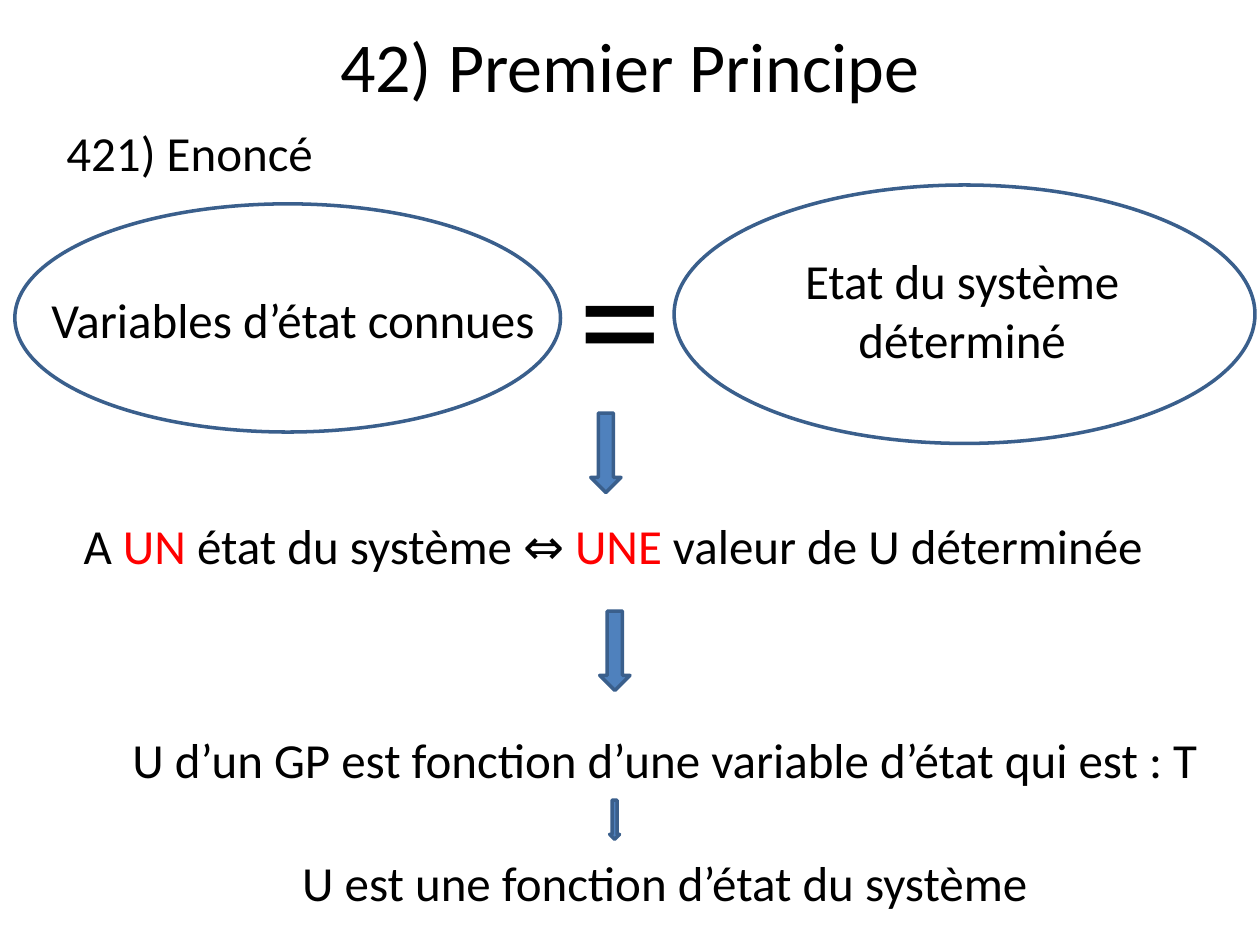
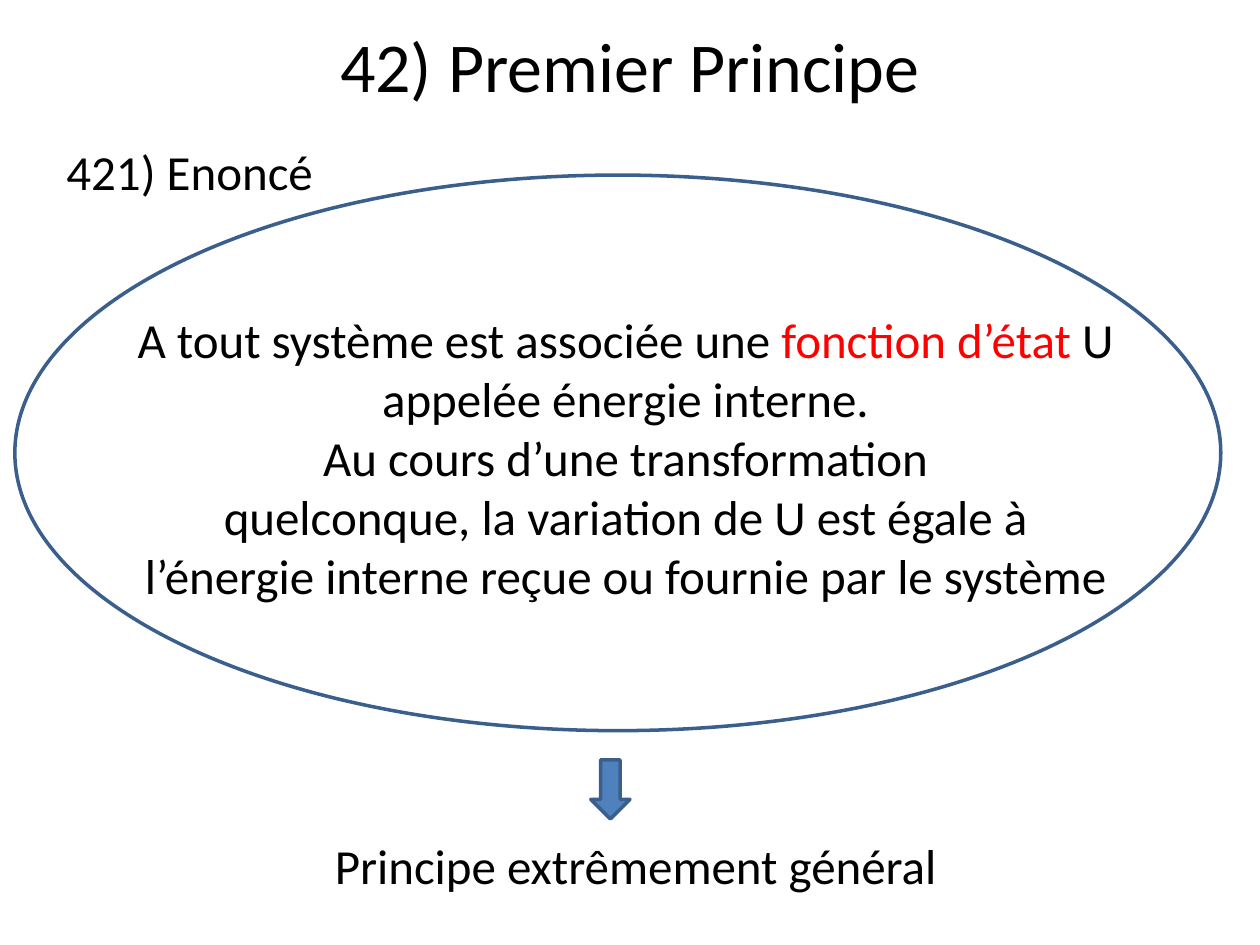
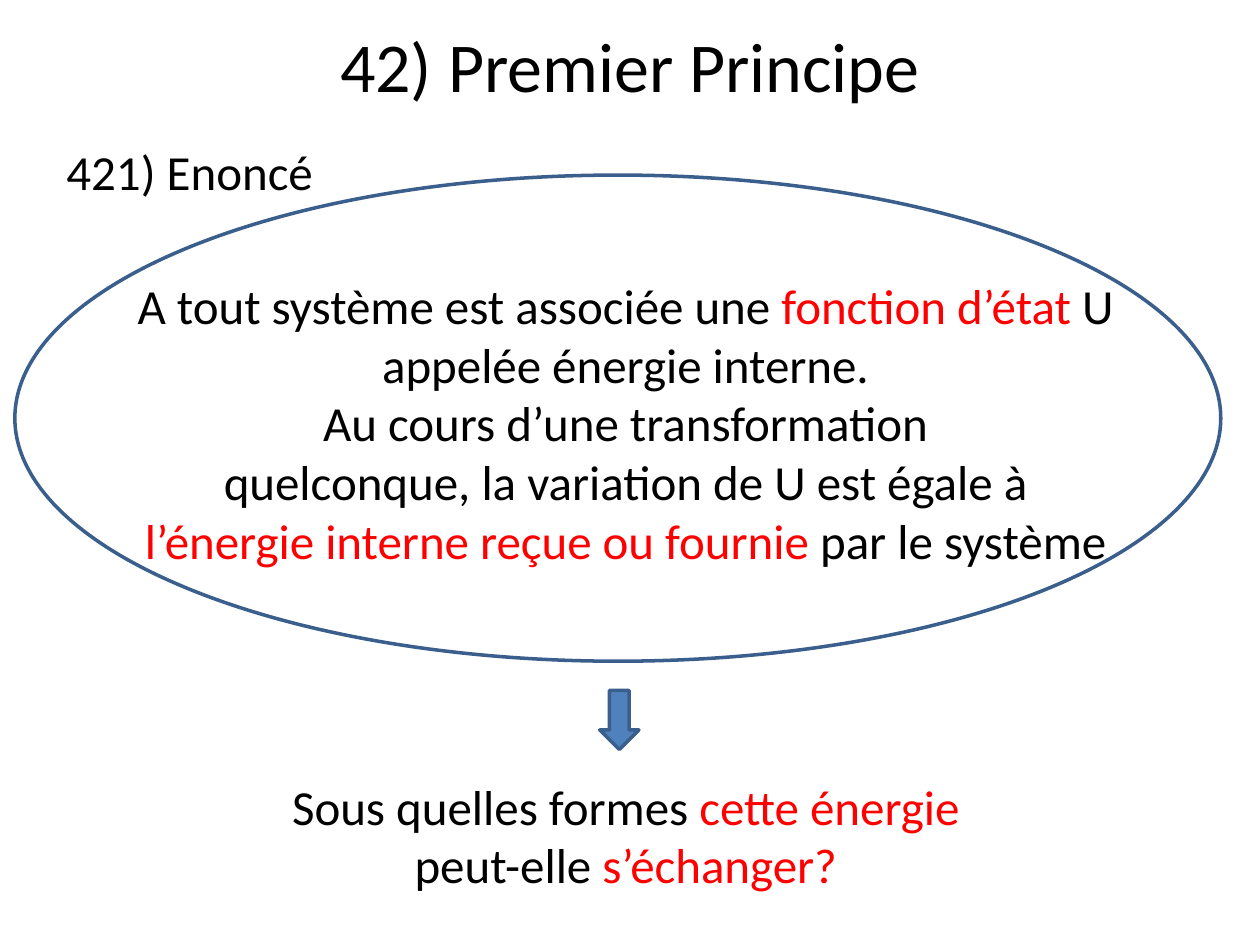
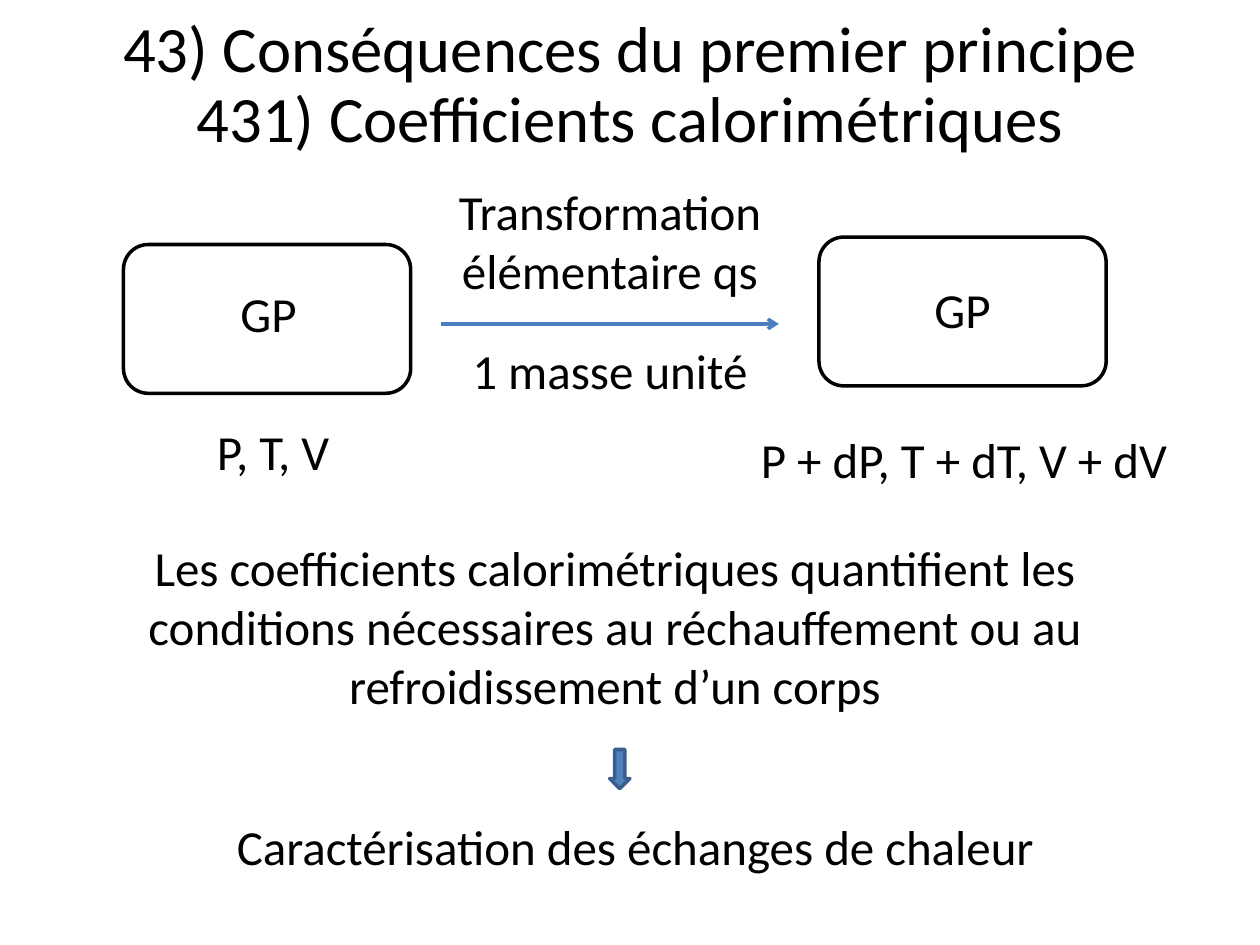
"""Build four slides on the first principle of thermodynamics."""
from lxml import etree
from pptx import Presentation
from pptx.dml.color import RGBColor
from pptx.enum.shapes import MSO_CONNECTOR, MSO_SHAPE
from pptx.enum.text import MSO_ANCHOR, MSO_AUTO_SIZE, PP_ALIGN
from pptx.oxml.ns import qn
from pptx.util import Cm, Pt

OVAL, ROUND, DOWN = MSO_SHAPE.OVAL, MSO_SHAPE.ROUNDED_RECTANGLE, MSO_SHAPE.DOWN_ARROW
LINE = MSO_CONNECTOR.STRAIGHT
TOP, MIDDLE = MSO_ANCHOR.TOP, MSO_ANCHOR.MIDDLE
LEFT, CENTER = PP_ALIGN.LEFT, PP_ALIGN.CENTER
GROW, FIXED = MSO_AUTO_SIZE.SHAPE_TO_FIT_TEXT, MSO_AUTO_SIZE.NONE
FONT, BLACK, RED = "Calibri", "000000", "FF0000"
BLUE, EDGE, WIRE = "4F81BD", "3A5F8C", "4B7EBC"

HEAD = "42) Premier Principe"
PART = "421) Enoncé"
LAW = """A tout système est associée une *fonction d’état* U
appelée énergie interne.
Au cours d’une transformation
quelconque, la variation de U est égale à
"""

# Asterisks enclose red words; lengths are in centimetres.
STATE = {
    "ovals": [(0.3, 4.11, 11, 4.6), (13.59, 3.73, 11.71, 5.21)],
    "downs": [(11.91, 8.33, 0.61, 1.6), (12.09, 12.32, 0.61, 1.6), (12.29, 16.13, 0.2, 0.79)],
    "texts": [
        ("Variables d’état connues", 0.71, 5.72, 10.39, {}),
        ("=", 10.9, 4.11, 3.2, {"size": 96}),
        ("Etat du système déterminé", 14.2, 4.93, 10.39, {"rows": 2}),
        ("A *UN* état du système ⇔ *UNE* valeur de U déterminée", 0.41, 10.26, 23.9, {}),
        ("U d’un GP est fonction d’une variable d’état qui est : T", 1.4, 14.58, 24, {}),
        ("U est une fonction d’état du système", 1.4, 17.07, 24, {}),
    ],
}
LAWS = [
    {
        "end": "l’énergie interne reçue ou fournie par le système",
        "tall": 11.2,
        "down": (11.91, 15.32, 0.79, 1.19),
        "note": ("Principe extrêmement général", 5.31, 16.71, 15.01, {}),
    },
    {
        "end": "*l’énergie interne reçue ou fournie* par le système",
        "tall": 9.8,
        "down": (12.09, 13.92, 0.79, 1.19),
        "note": ("Sous quelles formes *cette énergie* peut-elle *s’échanger?*",
                 5.11, 15.52, 15.01, {"rows": 2}),
    },
]
HEAT = {
    "head": "43) Conséquences du premier principe\n431) Coefficients calorimétriques",
    "boxes": [(2.49, 4.93, 5.79, 3), (16.51, 4.78, 5.79, 3)],
    "wire": (8.89, 15.7, 6.53),
    "downs": [(12.29, 15.11, 0.41, 0.79)],
    "texts": [
        ("GP", 3.51, 5.59, 3.81, {}),
        ("GP", 17.5, 5.51, 3.81, {}),
        ("P, T, V", 3.51, 8.38, 3.99, {}),
        ("P + dP, T + dT, V + dV", 15.09, 8.53, 9.19, {"align": LEFT}),
        ("Transformation élémentaire qs", 8.89, 3.53, 6.81, {"rows": 2}),
        ("1 masse unité", 8.89, 6.73, 6.81, {}),
        ("Les coefficients calorimétriques quantifient les conditions nécessaires "
         "au réchauffement ou au refroidissement d’un corps", 2.49, 10.72, 19.81, {"rows": 3}),
        ("Caractérisation des échanges de chaleur", 2.9, 16.33, 19.81, {}),
    ],
}


def paint(code):
    return RGBColor.from_string(code)


def write(slide, text, x, y, w, rows=1, size=28, tall=None, align=CENTER,
          anchor=TOP, space=None, fit=GROW):
    high = tall or rows * size * 0.0424 + 0.25
    frame = slide.shapes.add_textbox(Cm(x), Cm(y), Cm(w), Cm(high)).text_frame
    frame.word_wrap, frame.auto_size, frame.vertical_anchor = True, fit, anchor
    for i, row in enumerate(text.split("\n")):
        para = frame.add_paragraph() if i else frame.paragraphs[0]
        para.alignment = align
        if space:
            para.line_spacing = space
        for j, words in enumerate(row.split("*")):
            if words:
                run = para.add_run()
                run.text = words
                run.font.name, run.font.size = FONT, Pt(size)
                run.font.color.rgb = paint(RED if j % 2 else BLACK)


def draw(slide, kind, place, fill=None, edge=EDGE):
    shape = slide.shapes.add_shape(kind, *map(Cm, place))
    shape.shadow.inherit = False
    if fill:
        shape.fill.solid()
        shape.fill.fore_color.rgb = paint(fill)
    else:
        shape.fill.background()
    shape.line.color.rgb, shape.line.width = paint(edge), Pt(2)


def join(slide, start, end, y):
    wire = slide.shapes.add_connector(LINE, Cm(start), Cm(y), Cm(end), Cm(y))
    wire.line.color.rgb, wire.line.width = paint(WIRE), Pt(2)
    props = wire.element.spPr
    etree.SubElement(props.find(qn("a:ln")), qn("a:tailEnd"), type="arrow")
    etree.SubElement(props, qn("a:effectLst"))


def start(deck, head=HEAD, y=-0.28, **style):
    slide = deck.slides.add_slide(deck.slide_layouts[6])
    look = {"size": 40, "tall": 3.18, "anchor": MIDDLE, "fit": FIXED, **style}
    write(slide, head, 1.27, y, 22.86, **look)
    return slide


def fill(slide, data):
    for place in data["downs"]:
        draw(slide, DOWN, place, BLUE)
    for text, x, y, w, style in data["texts"]:
        write(slide, text, x, y, w, **style)


def main():
    deck = Presentation()
    deck.slide_width, deck.slide_height = Cm(25.4), Cm(19.05)

    slide = start(deck)
    write(slide, PART, 1.09, 2.34, 8.79, align=LEFT)
    for place in STATE["ovals"]:
        draw(slide, OVAL, place)
    fill(slide, STATE)

    for law in LAWS:
        slide = start(deck)
        write(slide, PART, 1.09, 2.72, 8.79, align=LEFT)
        top, tall = 3.53, law["tall"]
        draw(slide, OVAL, (0.3, top, 24.31, tall))
        write(slide, LAW + law["end"], 2.31, top + tall / 2 - 3.01, 20.6,
              rows=5, anchor=MIDDLE)
        fill(slide, {"downs": [law["down"]], "texts": [law["note"]]})

    slide = start(deck, HEAT["head"], 0.15, size=37, space=0.9)
    for place in HEAT["boxes"]:
        draw(slide, ROUND, place, edge=BLACK)
    join(slide, *HEAT["wire"])
    fill(slide, HEAT)

    deck.save("out.pptx")


if __name__ == "__main__":
    main()
